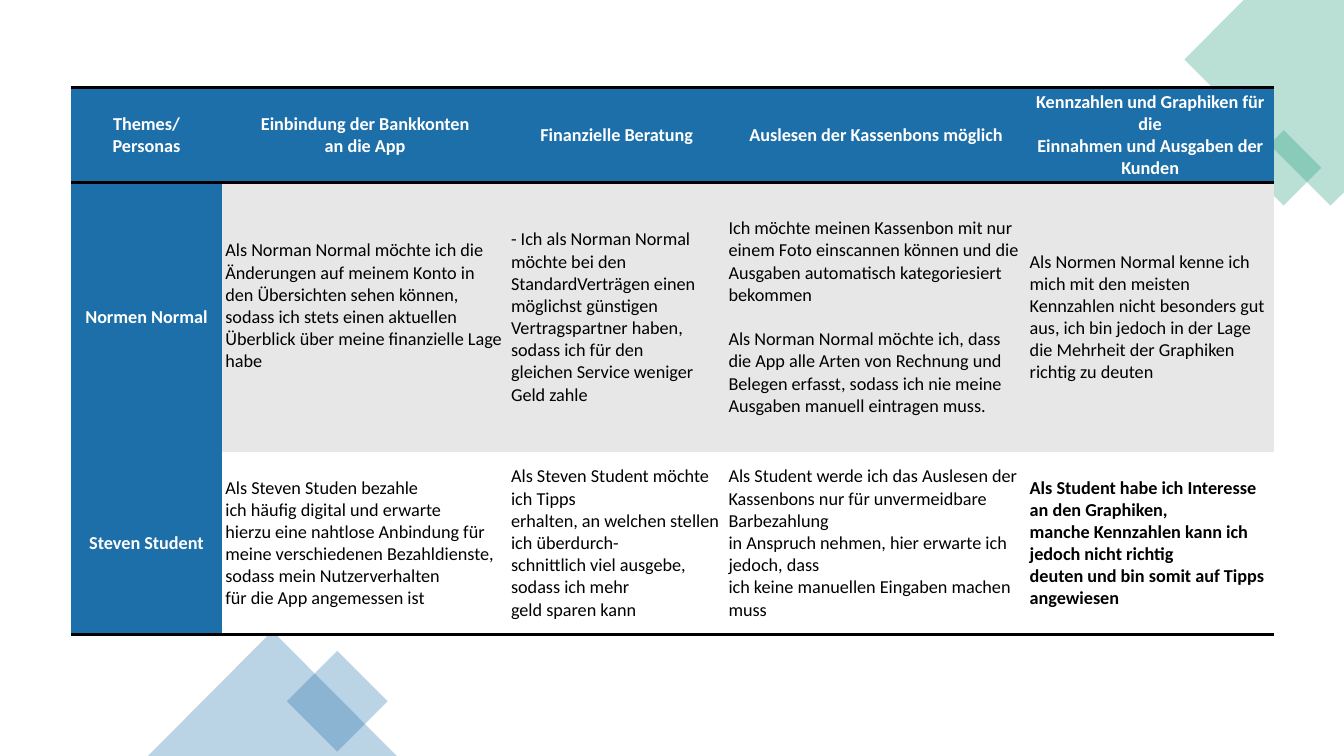
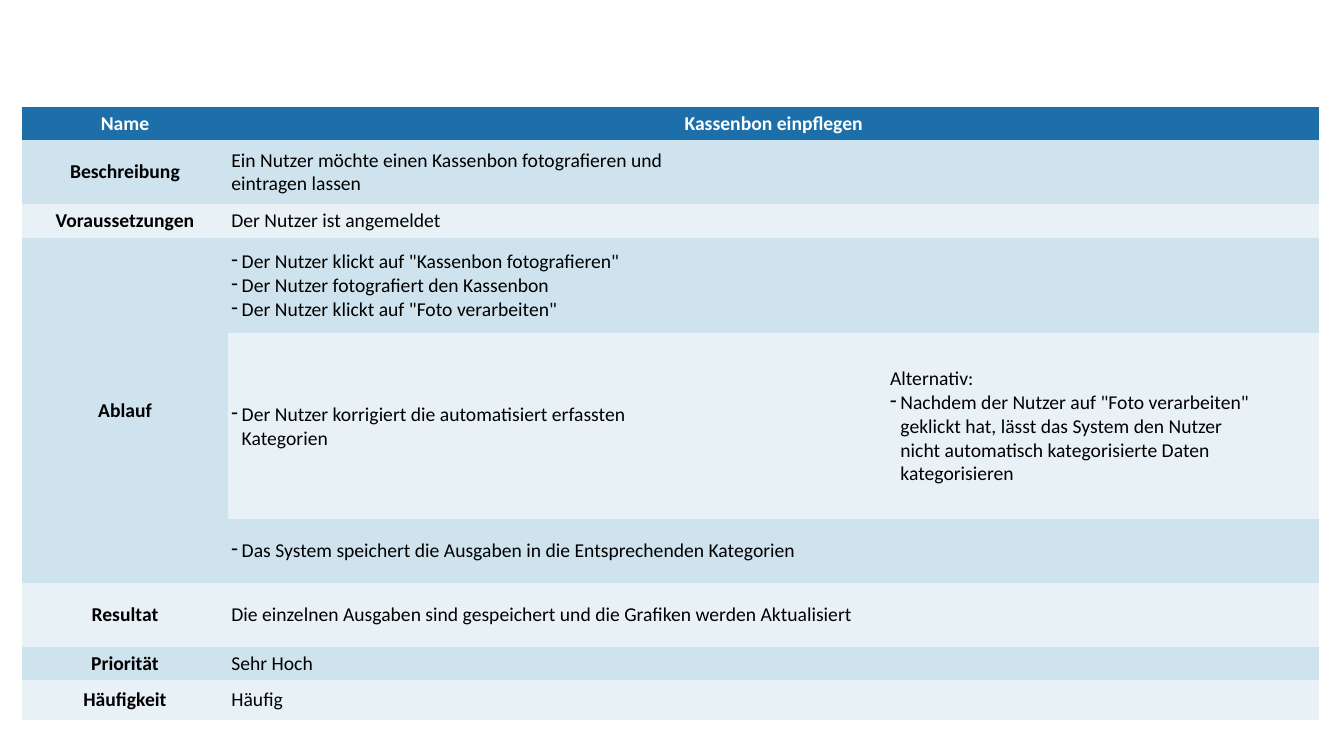
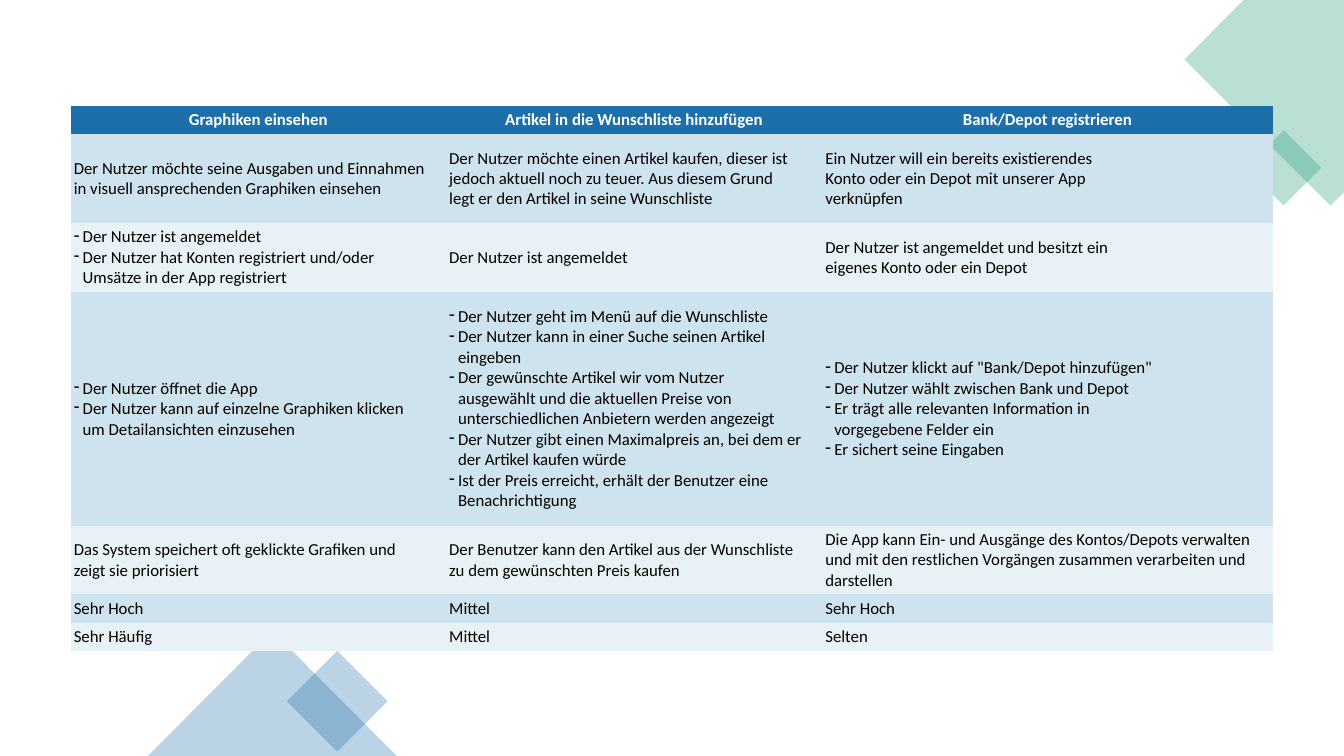
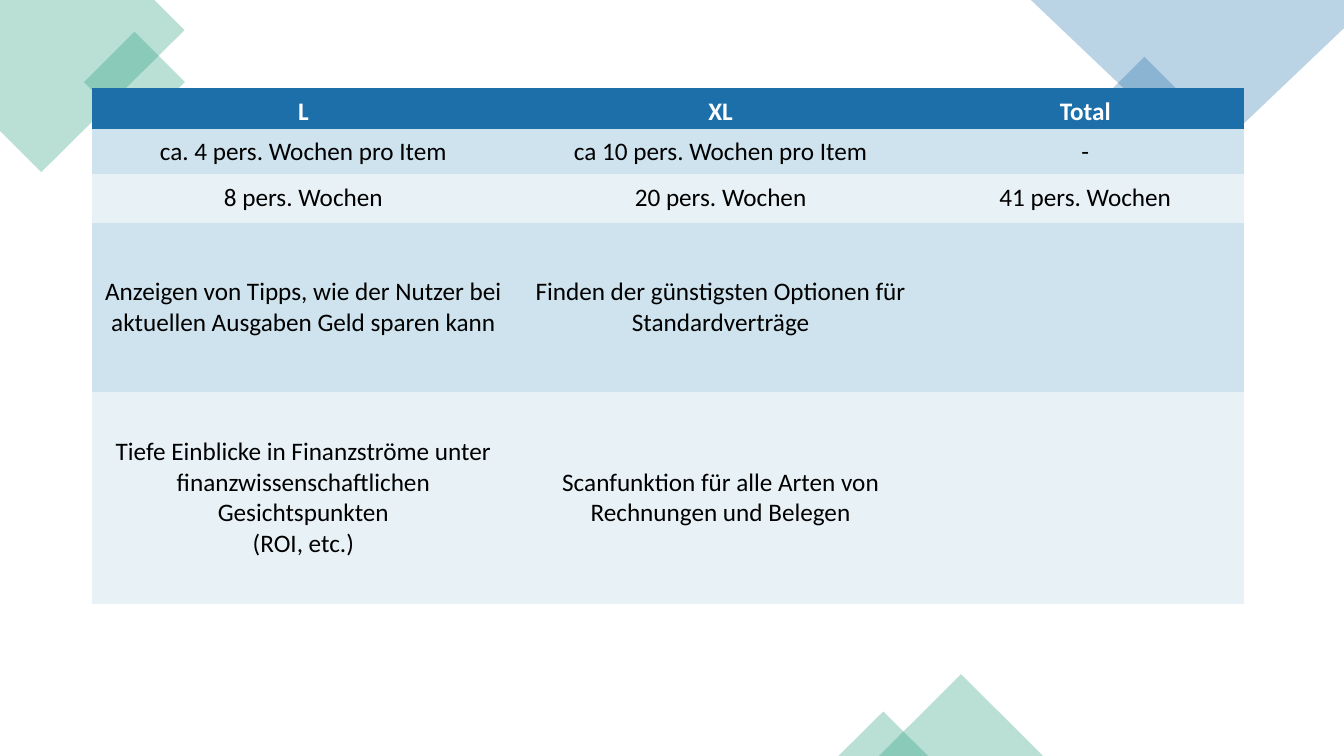
"""Build four slides of persona, use case and effort tables."""
from copy import deepcopy

from lxml import etree
from pptx import Presentation
from pptx import util as u
from pptx.dml.color import RGBColor
from pptx.enum import shapes, text
from pptx.oxml import ns

FONT = "Calibri"
BLUE, GREEN = "1D6FA9", "1D9A78"
BLACK, WHITE = "000000", "FFFFFF"
TINTS = ("CEE3ED", "E8F2F6")
GREYS = ("E7E7E7", WHITE)
NO_STYLE = "{2D5ABB26-0587-4C30-8999-92F81FD0307C}"
BULLET = "* "
WIDTH, HEIGHT = 33.87, 19.05

PERSONAS = [
    ["Themes/\vPersonas", "Einbindung der Bankkonten\van die App", "Finanzielle Beratung",
     "Auslesen der Kassenbons möglich",
     "Kennzahlen und Graphiken für die\vEinnahmen und Ausgaben der Kunden"],
    ["Normen Normal",
     "Als Norman Normal möchte ich die Änderungen auf meinem Konto in den Übersichten "
     "sehen können, sodass ich stets einen aktuellen Überblick über meine finanzielle Lage habe",
     "- Ich als Norman Normal möchte bei den StandardVerträgen einen möglichst günstigen "
     "Vertragspartner haben,\vsodass ich für den\vgleichen Service weniger Geld zahle",
     "Ich möchte meinen Kassenbon mit nur einem Foto einscannen können und die Ausgaben "
     "automatisch kategoriesiert bekommen\n"
     "Als Norman Normal möchte ich, dass\vdie App alle Arten von Rechnung und Belegen "
     "erfasst, sodass ich nie meine Ausgaben manuell eintragen muss.",
     "Als Normen Normal kenne ich mich mit den meisten\vKennzahlen nicht besonders gut aus, "
     "ich bin jedoch in der Lage die Mehrheit der Graphiken richtig zu deuten"],
    ["Steven Student",
     "Als Steven Studen bezahle\vich häufig digital und erwarte\vhierzu eine nahtlose "
     "Anbindung für meine verschiedenen Bezahldienste,\vsodass mein Nutzerverhalten\v"
     "für die App angemessen ist",
     "Als Steven Student möchte ich Tipps\verhalten, an welchen stellen ich überdurch-\v"
     "schnittlich viel ausgebe, sodass ich mehr\vgeld sparen kann",
     "Als Student werde ich das Auslesen der\vKassenbons nur für unvermeidbare Barbezahlung\v"
     "in Anspruch nehmen, hier erwarte ich jedoch, dass\v"
     "ich keine manuellen Eingaben machen muss",
     "Als Student habe ich Interesse an den Graphiken,\vmanche Kennzahlen kann ich jedoch "
     "nicht richtig\vdeuten und bin somit auf Tipps angewiesen"],
]

RECEIPT = [
    ["Name", "Kassenbon einpflegen", ""],
    ["Beschreibung", "Ein Nutzer möchte einen Kassenbon fotografieren und\veintragen lassen", ""],
    ["Voraussetzungen", "Der Nutzer ist angemeldet", ""],
    ["Ablauf", '* Der Nutzer klickt auf "Kassenbon fotografieren"\n'
     '* Der Nutzer fotografiert den Kassenbon\n* Der Nutzer klickt auf "Foto verarbeiten"', ""],
    ["", "* Der Nutzer korrigiert die automatisiert erfassten\vKategorien",
     'Alternativ:\n* Nachdem der Nutzer auf "Foto verarbeiten"\vgeklickt hat, lässt das System '
     "den Nutzer\vnicht automatisch kategorisierte Daten\vkategorisieren"],
    ["", "* Das System speichert die Ausgaben in die Entsprechenden Kategorien", ""],
    ["Resultat",
     "Die einzelnen Ausgaben sind gespeichert und die Grafiken werden Aktualisiert", ""],
    ["Priorität", "Sehr Hoch", ""],
    ["Häufigkeit", "Häufig", ""],
]

USE_CASES = [
    ["Graphiken einsehen", "Artikel in die Wunschliste hinzufügen", "Bank/Depot registrieren"],
    ["Der Nutzer möchte seine Ausgaben und Einnahmen\vin visuell ansprechenden Graphiken einsehen",
     "Der Nutzer möchte einen Artikel kaufen, dieser ist\vjedoch aktuell noch zu teuer. "
     "Aus diesem Grund\vlegt er den Artikel in seine Wunschliste",
     "Ein Nutzer will ein bereits existierendes\vKonto oder ein Depot mit unserer App\vverknüpfen"],
    ["* Der Nutzer ist angemeldet\n* Der Nutzer hat Konten registriert und/oder\v"
     "Umsätze in der App registriert",
     "Der Nutzer ist angemeldet",
     "Der Nutzer ist angemeldet und besitzt ein\veigenes Konto oder ein Depot"],
    ["* Der Nutzer öffnet die App\n* Der Nutzer kann auf einzelne Graphiken klicken\v"
     "um Detailansichten einzusehen",
     "* Der Nutzer geht im Menü auf die Wunschliste\n"
     "* Der Nutzer kann in einer Suche seinen Artikel\veingeben\n"
     "* Der gewünschte Artikel wir vom Nutzer\vausgewählt und die aktuellen Preise von\v"
     "unterschiedlichen Anbietern werden angezeigt\n"
     "* Der Nutzer gibt einen Maximalpreis an, bei dem er\vder Artikel kaufen würde\n"
     "* Ist der Preis erreicht, erhält der Benutzer eine\vBenachrichtigung",
     '* Der Nutzer klickt auf "Bank/Depot hinzufügen"\n'
     "* Der Nutzer wählt zwischen Bank und Depot\n"
     "* Er trägt alle relevanten Information in\vvorgegebene Felder ein\n"
     "* Er sichert seine Eingaben"],
    ["Das System speichert oft geklickte Grafiken und\vzeigt sie priorisiert",
     "Der Benutzer kann den Artikel aus der Wunschliste\vzu dem gewünschten Preis kaufen",
     "Die App kann Ein- und Ausgänge des Kontos/Depots verwalten\vund mit den restlichen "
     "Vorgängen zusammen verarbeiten und\vdarstellen"],
    ["Sehr Hoch", "Mittel", "Sehr Hoch"],
    ["Sehr Häufig", "Mittel", "Selten"],
]

EFFORT = [
    ["L", "XL", "Total"],
    ["ca. 4 pers. Wochen pro Item", "ca 10 pers. Wochen pro Item", "-"],
    ["8 pers. Wochen", "20 pers. Wochen", "41 pers. Wochen"],
    ["Anzeigen von Tipps, wie der Nutzer bei\vaktuellen Ausgaben Geld sparen kann",
     "Finden der günstigsten Optionen für Standardverträge", ""],
    ["Tiefe Einblicke in Finanzströme unter\vfinanzwissenschaftlichen Gesichtspunkten\v(ROI, etc.)",
     "Scanfunktion für alle Arten von\vRechnungen und Belegen", ""],
]


def paint(target, colour):
    """Fill a shape or cell with a hex colour."""
    target.fill.solid()
    target.fill.fore_color.rgb = RGBColor.from_string(colour)


def veil(ornament, colour):
    """Give an ornament its see-through fill without line or shadow."""
    paint(ornament, colour)
    ornament.line.fill.background()
    ornament.shadow.inherit = False
    tone = ornament._element.spPr.find(".//" + ns.qn("a:srgbClr"))
    etree.SubElement(tone, ns.qn("a:alpha"), val="30000")


def diamond(slide, x, y, size, colour):
    """Draw a diamond around its centre."""
    corner = u.Cm(x - size / 2), u.Cm(y - size / 2)
    veil(slide.shapes.add_shape(shapes.MSO_SHAPE.DIAMOND, *corner, u.Cm(size), u.Cm(size)), colour)


def peak(slide, x, width, height, colour):
    """Draw a triangle that stands on the lower edge of the slide."""
    box = (u.Cm(n) for n in (x, HEIGHT - height, width, height))
    veil(slide.shapes.add_shape(shapes.MSO_SHAPE.ISOSCELES_TRIANGLE, *box), colour)


def corner_piece(slide, points, colour):
    """Draw a polygon that is cut off by the slide edges."""
    start, *others = [(u.Cm(x), u.Cm(y)) for x, y in points]
    builder = slide.shapes.build_freeform(*start)
    builder.add_line_segments(others, close=True)
    veil(builder.convert_to_shape(), colour)


def side_ornaments(slide):
    """Decorate the upper right and lower left corners."""
    corner_piece(slide, [(WIDTH, 0), (31.34, 0), (29.85, 1.5), (33.53, 5.18), (WIDTH, 4.85)], GREEN)
    diamond(slide, 32.35, 4.23, 1.9, GREEN)
    diamond(slide, 8.5, 17.67, 2.54, BLUE)
    peak(slide, 3.73, 6.27, 3.15, BLUE)


def top_ornaments(slide):
    """Decorate both upper corners and the lower edge."""
    corner_piece(slide, [(3.89, 0), (0, 0), (0, 3.3), (1.04, 4.34), (4.65, 0.76)], GREEN)
    diamond(slide, 3.39, 2.07, 2.54, GREEN)
    diamond(slide, 28.84, 2.78, 2.7, BLUE)
    corner_piece(slide, [(WIDTH, 0), (25.98, 0), (30.3, 4.11), (WIDTH, 0.71)], BLUE)
    peak(slide, 22.15, 4.14, 2.06, GREEN)
    peak(slide, 21.13, 2.26, 1.12, GREEN)


def hang_bullet(paragraph, size):
    """Set a dash bullet with a hanging indent."""
    props = paragraph._p.get_or_add_pPr()
    indent = u.Pt(0.53 * size)
    props.set("marL", str(indent))
    props.set("indent", str(-indent))
    etree.SubElement(props, ns.qn("a:buChar"), char="-")


def write_cell(cell, wording, size, colour, bold, centred):
    """Write and format the paragraphs of a cell."""
    cell.margin_left = cell.margin_right = u.Cm(0.08)
    cell.margin_top = cell.margin_bottom = u.Cm(0.05)
    cell.vertical_anchor = text.MSO_ANCHOR.MIDDLE
    lines = wording.split("\n")
    cell.text_frame.text = "\n".join(line.removeprefix(BULLET) for line in lines)
    for line, paragraph in zip(lines, cell.text_frame.paragraphs):
        paragraph.alignment = text.PP_ALIGN.CENTER if centred else text.PP_ALIGN.LEFT
        if line.startswith(BULLET):
            hang_bullet(paragraph, size)
        for run in paragraph.runs:
            run.font.name, run.font.size, run.font.bold = FONT, u.Pt(size), bold
            run.font.color.rgb = RGBColor.from_string(colour)
        for line_break in paragraph._p.findall(ns.qn("a:br")):
            line_break.append(deepcopy(paragraph.runs[0]._r.rPr))


def rule(cells, *sides):
    """Draw black borders on the named sides of cells."""
    for cell in cells:
        for place, side in enumerate(sides):
            border = etree.Element(ns.qn("a:ln" + side), w=str(u.Pt(2)))
            ink = etree.SubElement(border, ns.qn("a:solidFill"))
            etree.SubElement(ink, ns.qn("a:srgbClr"), val=BLACK)
            cell._tc.get_or_add_tcPr().insert(place, border)


def add_grid(slide, left, top, widths, heights, rows, size,
             bands=TINTS, labels=False, blue_labels=False, centred=False):
    """Place a table with a blue header and two alternating bands."""
    box = (u.Cm(n) for n in (left, top, sum(widths), sum(heights)))
    table = slide.shapes.add_table(len(rows), len(widths), *box).table
    table._tbl.tblPr.find(ns.qn("a:tableStyleId")).text = NO_STYLE
    table.horz_banding = False
    for column, width in zip(table.columns, widths):
        column.width = u.Cm(width)
    for r, (row, height) in enumerate(zip(rows, heights)):
        table.rows[r].height = u.Cm(height)
        for c, wording in enumerate(row):
            cell = table.cell(r, c)
            strong = r == 0 or (labels and c == 0)
            blue = r == 0 or (blue_labels and c == 0)
            paint(cell, BLUE if blue else bands[(r - 1) % 2])
            write_cell(cell, wording, size, WHITE if blue else BLACK, strong, strong or centred)
    return table


def personas_slide(slide):
    """Show the themes of each persona."""
    side_ornaments(slide)
    table = add_grid(slide, 1.78, 2.21, [3.82, 7.2, 5.48, 7.59, 6.23], [2.39, 6.79, 4.6],
                     PERSONAS, 13, GREYS, labels=True, blue_labels=True)
    columns = range(len(table.columns))
    rule([table.cell(0, c) for c in columns], "T", "B")
    rule([table.cell(2, c) for c in columns], "B")
    table.cell(1, 1).margin_bottom = u.Cm(0.61)
    table.cell(1, 3).text_frame.paragraphs[0].space_after = u.Pt(16)
    for run in table.cell(2, 4).text_frame.paragraphs[0].runs:
        run.font.bold = True


def receipt_slide(slide):
    """Show the use case of entering a receipt."""
    table = add_grid(slide, 0.55, 2.7, [5.2, 16.6, 10.9],
                     [0.83, 1.62, 0.85, 2.4, 4.69, 1.6, 1.61, 0.83, 1.01],
                     RECEIPT, 14, labels=True)
    for r, row in enumerate(RECEIPT):
        if not row[2]:
            table.cell(r, 1).merge(table.cell(r, 2))
    table.cell(3, 0).merge(table.cell(5, 0))


def use_cases_slide(slide):
    """Show three more use cases side by side."""
    side_ornaments(slide)
    add_grid(slide, 1.78, 2.67, [9.46, 9.48, 11.36],
             [0.71, 2.25, 1.73, 5.89, 1.73, 0.71, 0.71], USE_CASES, 12)


def effort_slide(slide):
    """Show the effort estimate by item size."""
    top_ornaments(slide)
    table = add_grid(slide, 2.31, 2.23, [10.67, 10.36, 8.02], [1.02, 1.13, 1.23, 4.27, 5.34],
                     EFFORT, 18, centred=True)
    for c in range(len(table.columns)):
        table.cell(0, c).vertical_anchor = text.MSO_ANCHOR.BOTTOM


def main():
    """Build and save the presentation."""
    deck = Presentation()
    deck.slide_width, deck.slide_height = u.Cm(WIDTH), u.Cm(HEIGHT)
    for build in (personas_slide, receipt_slide, use_cases_slide, effort_slide):
        build(deck.slides.add_slide(deck.slide_layouts[6]))
    deck.save("out.pptx")


if __name__ == "__main__":
    main()
